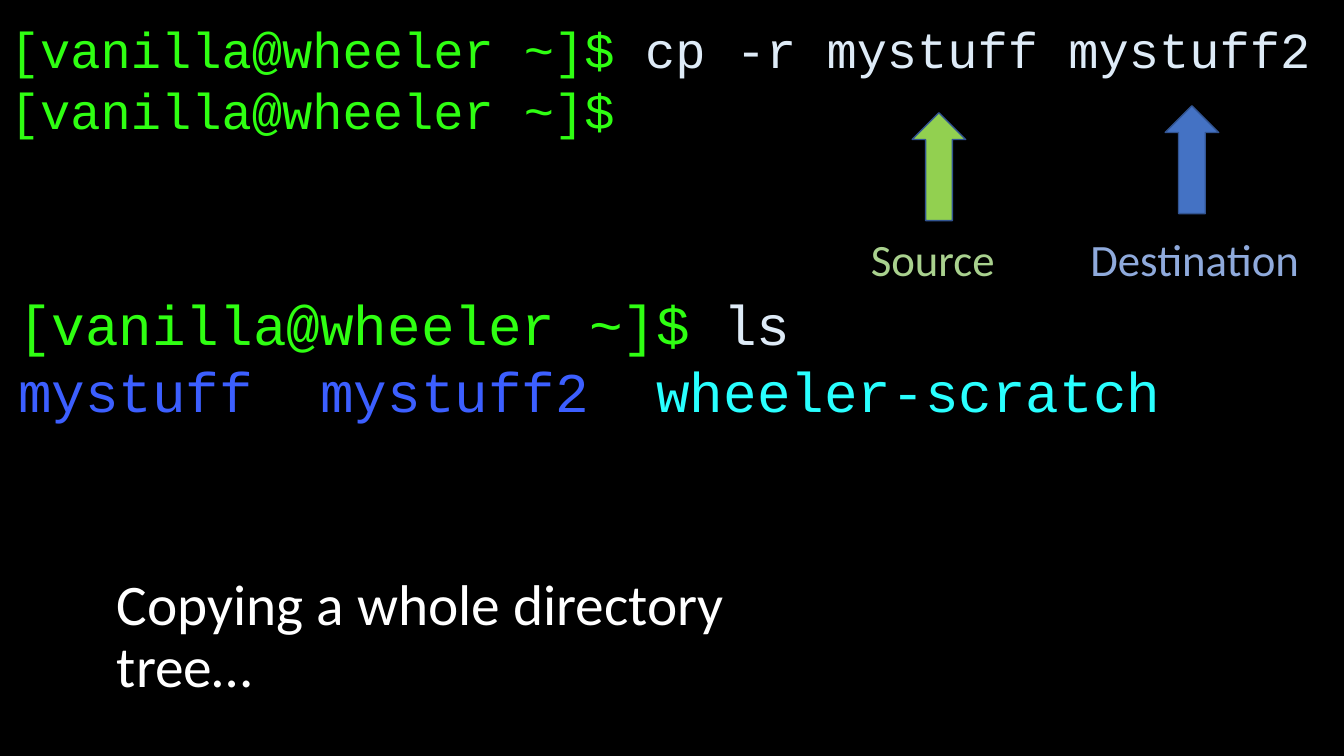
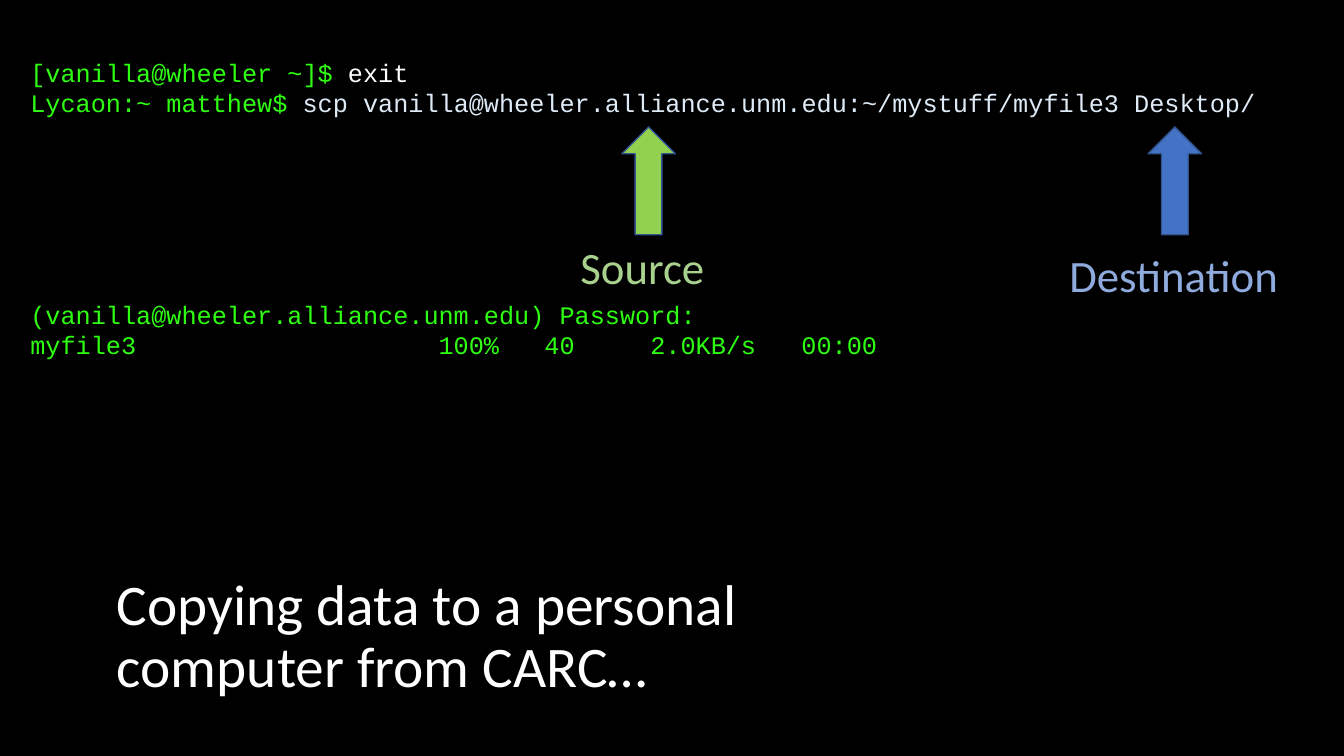
"""Build two terminal slides on copying directories and files."""
from lxml.etree import SubElement
from pptx import Presentation
from pptx.dml.color import RGBColor
from pptx.enum.shapes import MSO_SHAPE
from pptx.enum.text import MSO_ANCHOR, MSO_AUTO_SIZE, PP_ALIGN
from pptx.oxml.ns import qn
from pptx.util import Pt

GREEN, PALE, WHITE = "2FFF12", "DEEBF7", "FFFFFF"
DIR_BLUE, LINK_CYAN = "3C5FFF", "29FFFF"
ARROW_LINE = "325491"
MARKERS = [("Source", "92D050", "A9D18E", 111.6), ("Destination", "4472C4", "8FAADC", 165.6)]
PROMPT = ("[vanilla@wheeler ~]$ ", GREEN)


def rgb(value):
    return RGBColor.from_string(value)


def add_text(s, box, lines, size, font="Courier New", wrap=True, columns=()):
    tf = s.shapes.add_textbox(*map(Pt, box)).text_frame
    tf.word_wrap = wrap
    for i, line in enumerate(lines):
        p = tf.paragraphs[0] if i == 0 else tf.add_paragraph()
        if any("\t" in text for text, color in line):
            tabs = SubElement(p._p.get_or_add_pPr(), qn("a:tabLst"))
            for column in columns:
                SubElement(tabs, qn("a:tab"), pos=str(Pt(column * size * 0.6)), algn="l")
        for text, color in line:
            r = p.add_run()
            r.text = text
            for name, value in {"name": font, "size": Pt(size)}.items():
                setattr(r.font, name, value)
            r.font.color.rgb = rgb(color)


SLIDES = [
    {
        "title": "Copying a whole directory tree…",
        "terminals": [
            ((0, 9.4, 960, 94.3), 36, (),
             [[PROMPT, ("cp -r mystuff mystuff2", PALE)], [("[vanilla@wheeler ~]$", GREEN)]]),
            ((5.8, 203, 884, 104.4), 40, (9, 19),
             [[PROMPT, ("ls", PALE)],
              [("mystuff\tmystuff2\t", DIR_BLUE), ("wheeler-scratch", LINK_CYAN)]]),
        ],
        "arrows": [(651.6, 80.6), (832.3, 75.6)],
        "labels": [(614.9, 162), (771.8, 162)],
    },
    {
        "title": "Copying data to a personal computer from CARC…",
        "terminals": [
            ((14.6, 37.4, 935, 50), 18, (),
             [[PROMPT, ("exit", WHITE)],
              [("Lycaon:~ matthew$ ", GREEN),
               ("scp vanilla@wheeler.alliance.unm.edu:~/mystuff/myfile3 Desktop/", PALE)]]),
            ((14.6, 210.3, 935, 50), 18, (27, 34, 41, 51),
             [[("(vanilla@wheeler.alliance.unm.edu) Password:", GREEN)],
              [("myfile3\t100%\t40\t2.0KB/s\t00:00", GREEN)]]),
        ],
        "arrows": [(444.2, 90.7), (820.1, 90.7)],
        "labels": [(407.5, 167.8), (756.7, 173.5)],
    },
]

prs = Presentation()
prs.slide_width, prs.slide_height = Pt(960), Pt(540)
fill = prs.slide_master.background.fill
fill.solid()
fill.fore_color.rgb = rgb("000000")

for content in SLIDES:
    s = prs.slides.add_slide(prs.slide_layouts[5])

    title = s.shapes.title
    for name, value in {"left": 76.3, "top": 406, "width": 549.4, "height": 99.4}.items():
        setattr(title, name, Pt(value))
    tf = title.text_frame
    tf.text = content["title"]
    for name, value in {"word_wrap": True, "auto_size": MSO_AUTO_SIZE.NONE,
                        "vertical_anchor": MSO_ANCHOR.MIDDLE}.items():
        setattr(tf, name, value)
    p = tf.paragraphs[0]
    for name, value in {"alignment": PP_ALIGN.LEFT, "line_spacing": 0.9}.items():
        setattr(p, name, value)
    r = p.runs[0]
    for name, value in {"name": "Calibri", "size": Pt(41)}.items():
        setattr(r.font, name, value)
    r.font.color.rgb = rgb(WHITE)

    for box, size, columns, lines in content["terminals"]:
        add_text(s, box, lines, size, columns=columns)

    for marker, arrow, label in zip(MARKERS, content["arrows"], content["labels"]):
        text, arrow_color, text_color, width = marker
        sp = s.shapes.add_shape(MSO_SHAPE.UP_ARROW, *map(Pt, (*arrow, 38.2, 77)))
        sp.shadow.inherit = False
        sp.fill.solid()
        sp.fill.fore_color.rgb = rgb(arrow_color)
        sp.line.color.rgb = rgb(ARROW_LINE)
        sp.line.width = Pt(1)
        add_text(s, (*label, width, 46.1), [[(text, text_color)]], 32, "Calibri", wrap=False)

prs.save("out.pptx")
